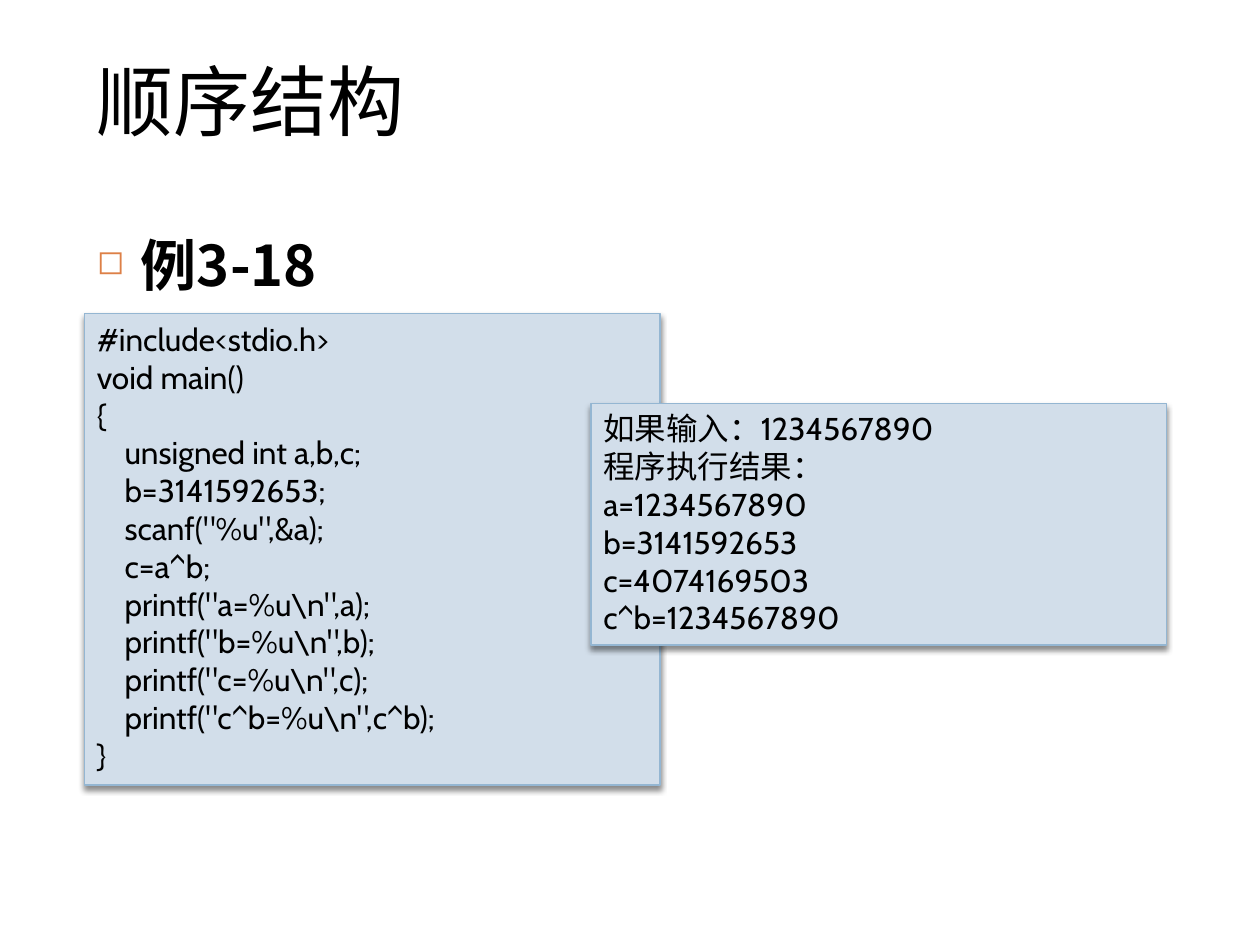
from lxml.etree import SubElement
from pptx import Presentation
from pptx.dml.color import RGBColor
from pptx.enum.shapes import MSO_SHAPE
from pptx.enum.text import MSO_ANCHOR, MSO_AUTO_SIZE, PP_ALIGN
from pptx.oxml.ns import qn
from pptx.util import Inches, Pt

TITLE = "顺序结构"
EXAMPLE = "例3-18"
# Each line is (indent level, text).
CODE = [
    (0, "#include<stdio.h>"),
    (0, "void main()"),
    (0, "{"),
    (1, "unsigned int a,b,c;"),
    (1, "b=3141592653;"),
    (1, 'scanf("%u",&a);'),
    (1, "c=a^b;"),
    (1, r'printf("a=%u\n",a);'),
    (1, r'printf("b=%u\n",b);'),
    (1, r'printf("c=%u\n",c);'),
    (1, r'printf("c^b=%u\n",c^b);'),
    (0, "}"),
]
RESULT = [
    (0, "如果输入：1234567890"),
    (0, "程序执行结果："),
    (0, "a=1234567890"),
    (0, "b=3141592653"),
    (0, "c=4074169503"),
    (0, "c^b=1234567890"),
]
PANELS = [
    ((0.67, 2.49, 4.57, 3.74), CODE),
    ((4.69, 3.2, 4.57, 1.92), RESULT),
]
THEME = {
    "text": "000000", "panel": "D2DEEA", "edge": "94B6D2", "bullet": "DD8047",
    "han": "Noto Sans CJK SC", "latin": "Cabin",
    "title": 44, "head": 32, "code": 18, "indent": 0.22,
}


def color(name):
    return RGBColor.from_string(THEME[name])


def style(para, face, size, bold=False):
    for run in para.runs:
        font = run.font
        font.name, font.size, font.bold = THEME[face], Pt(THEME[size]), bold
        font.color.rgb = color("text")
        SubElement(font._element, qn("a:ea"), typeface=THEME["han"])


def add_text(slide, box, text, size, bold=False):
    frame = slide.shapes.add_textbox(*map(Inches, box)).text_frame
    frame.word_wrap = True
    frame.text = text
    style(frame.paragraphs[0], "han", size, bold)
    return frame


def add_bullet(para):
    para.space_before, para.space_after = Pt(12), Pt(6)
    props = para._p.get_or_add_pPr()
    props.set("marL", str(Inches(0.35)))
    props.set("indent", str(Inches(-0.35)))
    tint = SubElement(props, qn("a:buClr"))
    SubElement(tint, qn("a:srgbClr"), val=THEME["bullet"])
    SubElement(props, qn("a:buSzPct"), val="60000")
    SubElement(props, qn("a:buChar"), char="◻")


def add_shadow(shape):
    shape.shadow.inherit = False
    effects = shape._element.spPr.find(qn("a:effectLst"))
    outer = SubElement(effects, qn("a:outerShdw"), blurRad=str(Pt(3)),
                       dist=str(Pt(2.4)), dir="5400000", rotWithShape="0")
    tint = SubElement(outer, qn("a:srgbClr"), val="000000")
    SubElement(tint, qn("a:alpha"), val="45000")


def add_panel(slide, box, lines):
    panel = slide.shapes.add_shape(MSO_SHAPE.RECTANGLE, *map(Inches, box))
    panel.fill.solid()
    panel.fill.fore_color.rgb = color("panel")
    panel.line.color.rgb = color("edge")
    panel.line.width = Pt(0.79)
    add_shadow(panel)
    frame = panel.text_frame
    frame.word_wrap = True
    frame.auto_size = MSO_AUTO_SIZE.SHAPE_TO_FIT_TEXT
    frame.vertical_anchor = MSO_ANCHOR.TOP
    frame.text = "\n".join(text for _, text in lines)
    for para, (level, _) in zip(frame.paragraphs, lines):
        para.alignment = PP_ALIGN.LEFT
        left = Inches(level * THEME["indent"])
        para._p.get_or_add_pPr().set("marL", str(left))
        style(para, "latin", "code")


def main():
    deck = Presentation()
    deck.slide_width, deck.slide_height = Inches(10), Inches(7.5)
    slide = deck.slides.add_slide(deck.slide_layouts[6])
    title = add_text(slide, (0.67, 0.25, 8.92, 1.08), TITLE, "title")
    title.vertical_anchor = MSO_ANCHOR.MIDDLE
    body = add_text(slide, (0.67, 1.78, 8.92, 4.92), EXAMPLE, "head", True)
    add_bullet(body.paragraphs[0])
    for box, lines in PANELS:
        add_panel(slide, box, lines)
    deck.save("out.pptx")


if __name__ == "__main__":
    main()
